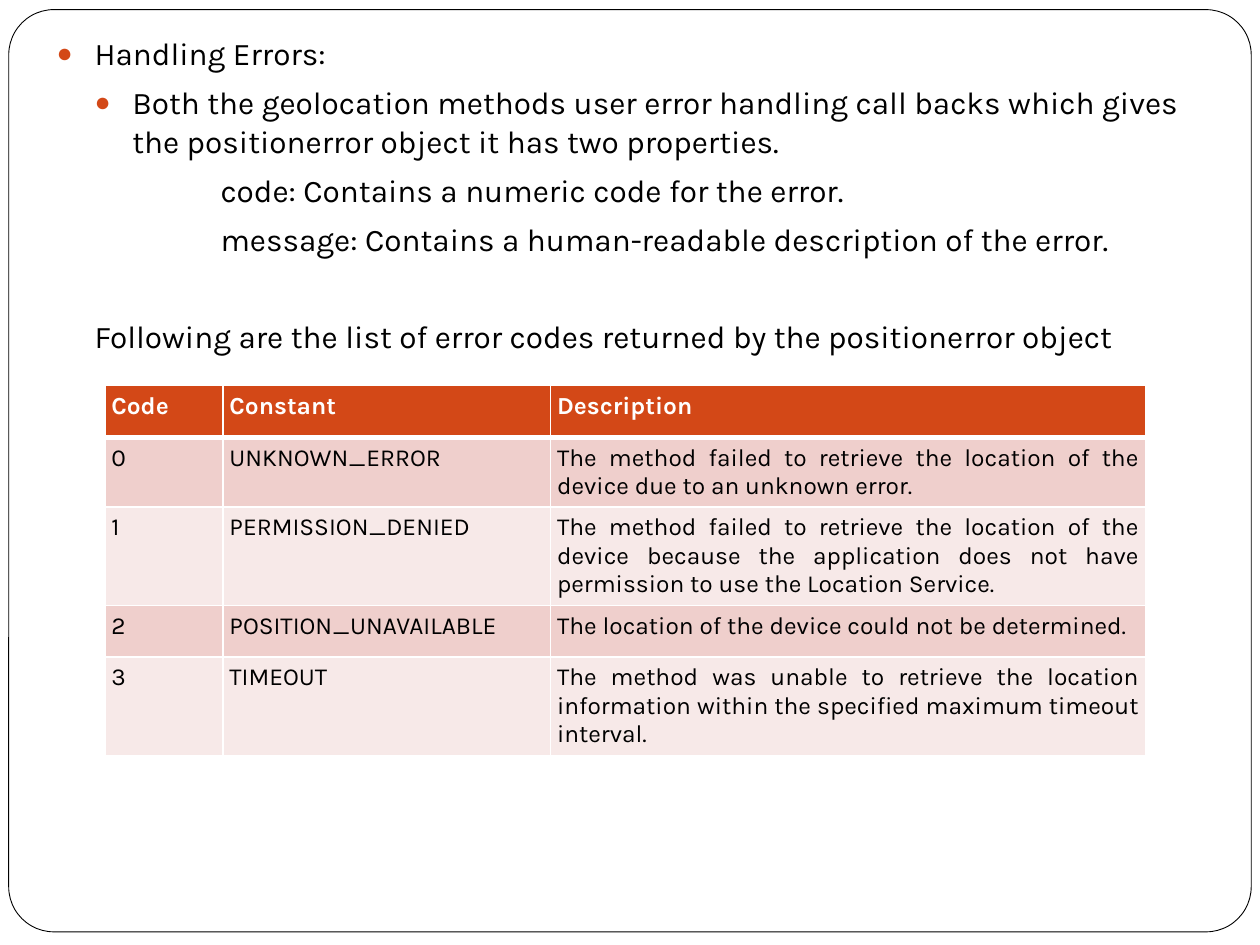
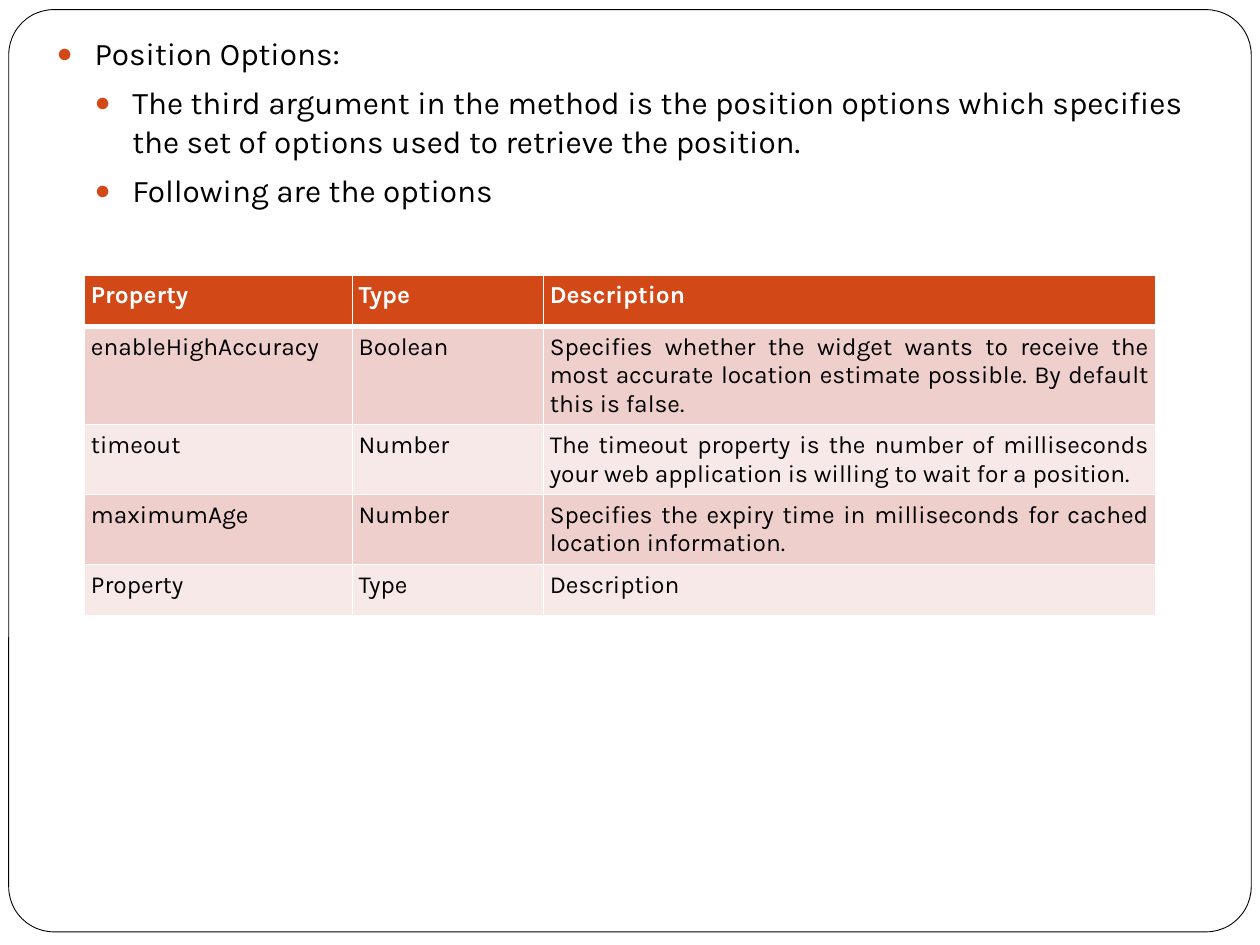
from lxml import etree
from pptx import Presentation
from pptx.dml.color import RGBColor
from pptx.enum.shapes import MSO_SHAPE as SHAPE
from pptx.enum.text import MSO_AUTO_SIZE as AUTO_SIZE, PP_ALIGN as ALIGN
from pptx.oxml.ns import qn
from pptx.util import Pt

FONT = "Karla"
BLACK, WHITE, ACCENT = "000000", "FFFFFF", "D34817"
BANDS = ("EFCFCC", "F7E9E8")
BULLET_STEP = 21.6
TEXT_SIZE, TABLE_SIZE = 18, 14
PARAGRAPH_GAP = 5.8
LINE_SPACING = 1.03
ROW_HEIGHT = 29.5
CELL_MARGIN = 3.6

# style: (outline level, left indent, has a bullet, space before)
STYLES = {
    "topic": (0, BULLET_STEP, True, PARAGRAPH_GAP),
    "point": (1, 2 * BULLET_STEP, True, PARAGRAPH_GAP),
    "property": (1, BULLET_STEP + 72, False, PARAGRAPH_GAP),
    "lead-in": (1, BULLET_STEP, False, 33.2),
}

ERROR_NOTES = [
    ("topic", "Handling Errors:"),
    ("point", "Both the geolocation methods user error handling call backs which gives "
              "the positionerror object it has two properties."),
    ("property", "code: Contains a numeric code for the error."),
    ("property", "message: Contains a human-readable description of the error."),
    ("lead-in", "Following are the list of error codes returned by the positionerror object"),
]
ERROR_CODES = [
    ("Code", "Constant", "Description"),
    ("0", "UNKNOWN_ERROR",
     "The method failed to retrieve the location of the device due to an unknown error."),
    ("1", "PERMISSION_DENIED",
     "The method failed to retrieve the location of the device because the application "
     "does not have permission to use the Location Service."),
    ("2", "POSITION_UNAVAILABLE", "The location of the device could not be determined."),
    ("3", "TIMEOUT",
     "The method was unable to retrieve the location information within the specified "
     "maximum timeout interval."),
]
OPTION_NOTES = [
    ("topic", "Position Options:"),
    ("point", "The third argument in the method is the position options which specifies "
              "the set of options used to retrieve the position."),
    ("point", "Following are the options"),
]
OPTIONS = [
    ("Property", "Type", "Description"),
    ("enableHighAccuracy", "Boolean",
     "Specifies whether the widget wants to receive the most accurate location estimate "
     "possible. By default this is false."),
    ("timeout", "Number",
     "The timeout property is the number of milliseconds your web application is willing "
     "to wait for a position."),
    ("maximumAge", "Number",
     "Specifies the expiry time in milliseconds for cached location information."),
    ("Property", "Type", "Description"),
]


def rgb(value):
    return RGBColor.from_string(value)


def format_runs(paragraph, size, color, bold=False):
    for run in paragraph.runs:
        run.font.name = FONT
        run.font.size = Pt(size)
        run.font.bold = bold
        run.font.color.rgb = rgb(color)


def add_frame(slide):
    """Put the rounded slide border behind everything else."""
    frame = slide.shapes.add_shape(SHAPE.ROUNDED_RECTANGLE, Pt(5), Pt(5.5), Pt(710), Pt(527))
    frame.adjustments[0] = 0.049
    frame.shadow.inherit = False
    frame.fill.solid()
    frame.fill.fore_color.rgb = rgb(WHITE)
    frame.line.color.rgb = rgb(BLACK)
    frame.line.width = Pt(0.5)
    slide.shapes._spTree.insert(2, frame._element)


def set_bullet(properties, has_bullet):
    if not has_bullet:
        etree.SubElement(properties, qn("a:buNone"))
        return
    color = etree.SubElement(properties, qn("a:buClr"))
    etree.SubElement(color, qn("a:srgbClr"), val=ACCENT)
    etree.SubElement(properties, qn("a:buSzPct"), val="85000")
    etree.SubElement(properties, qn("a:buChar"), char="●")


def fill_notes(body, notes):
    body.left, body.top, body.width, body.height = Pt(25.2), Pt(15.1), Pt(680.4), Pt(504.7)
    frame = body.text_frame
    frame.auto_size = AUTO_SIZE.NONE
    frame.text = "\n".join(text for _, text in notes)
    for paragraph, (style, _) in zip(frame.paragraphs, notes):
        level, indent, has_bullet, gap = STYLES[style]
        paragraph.level = level
        paragraph.space_before = Pt(gap)
        paragraph.line_spacing = LINE_SPACING
        properties = paragraph._p.get_or_add_pPr()
        properties.set("marL", str(Pt(indent)))
        properties.set("indent", str(Pt(-BULLET_STEP if has_bullet else 0)))
        set_bullet(properties, has_bullet)
        format_runs(paragraph, TEXT_SIZE, BLACK)


def set_borders(cell, top, bottom):
    properties = cell._tc.get_or_add_tcPr()
    for side, width in (("L", 1), ("R", 1), ("T", top), ("B", bottom)):
        line = etree.SubElement(properties, qn(f"a:ln{side}"), w=str(Pt(width)))
        fill = etree.SubElement(line, qn("a:solidFill"))
        etree.SubElement(fill, qn("a:srgbClr"), val=WHITE)


def format_cell(cell, row, column):
    is_header = row == 0
    set_borders(cell, top=3 if row == 1 else 1, bottom=3 if is_header else 1)
    cell.fill.solid()
    cell.fill.fore_color.rgb = rgb(ACCENT if is_header else BANDS[(row - 1) % 2])
    cell.margin_left = cell.margin_right = Pt(CELL_MARGIN)
    cell.margin_top = cell.margin_bottom = Pt(CELL_MARGIN)
    paragraph = cell.text_frame.paragraphs[0]
    if column == 2 and not is_header:
        paragraph.alignment = ALIGN.JUSTIFY
    format_runs(paragraph, TABLE_SIZE, WHITE if is_header else BLACK, bold=is_header)


def add_reference_table(slide, left, top, widths, rows):
    table = slide.shapes.add_table(len(rows), len(widths), Pt(left), Pt(top),
                                   Pt(sum(widths)), Pt(ROW_HEIGHT * len(rows))).table
    for column, width in zip(table.columns, widths):
        column.width = Pt(width)
    for r, texts in enumerate(rows):
        table.rows[r].height = Pt(ROW_HEIGHT)
        for c, text in enumerate(texts):
            cell = table.cell(r, c)
            cell.text_frame.text = text
            format_cell(cell, r, c)


def add_reference_slide(deck, notes, left, top, widths, rows):
    slide = deck.slides.add_slide(deck.slide_layouts[1])
    heading, body = slide.placeholders
    heading._element.getparent().remove(heading._element)
    add_frame(slide)
    fill_notes(body, notes)
    add_reference_table(slide, left, top, widths, rows)


def main():
    deck = Presentation()
    deck.slide_width, deck.slide_height = Pt(720), Pt(540)
    add_reference_slide(deck, ERROR_NOTES, 60, 220.4, (67.5, 187.2, 340), ERROR_CODES)
    add_reference_slide(deck, OPTION_NOTES, 48.4, 157, (153, 109.2, 349.8), OPTIONS)
    deck.save("out.pptx")


if __name__ == "__main__":
    main()
